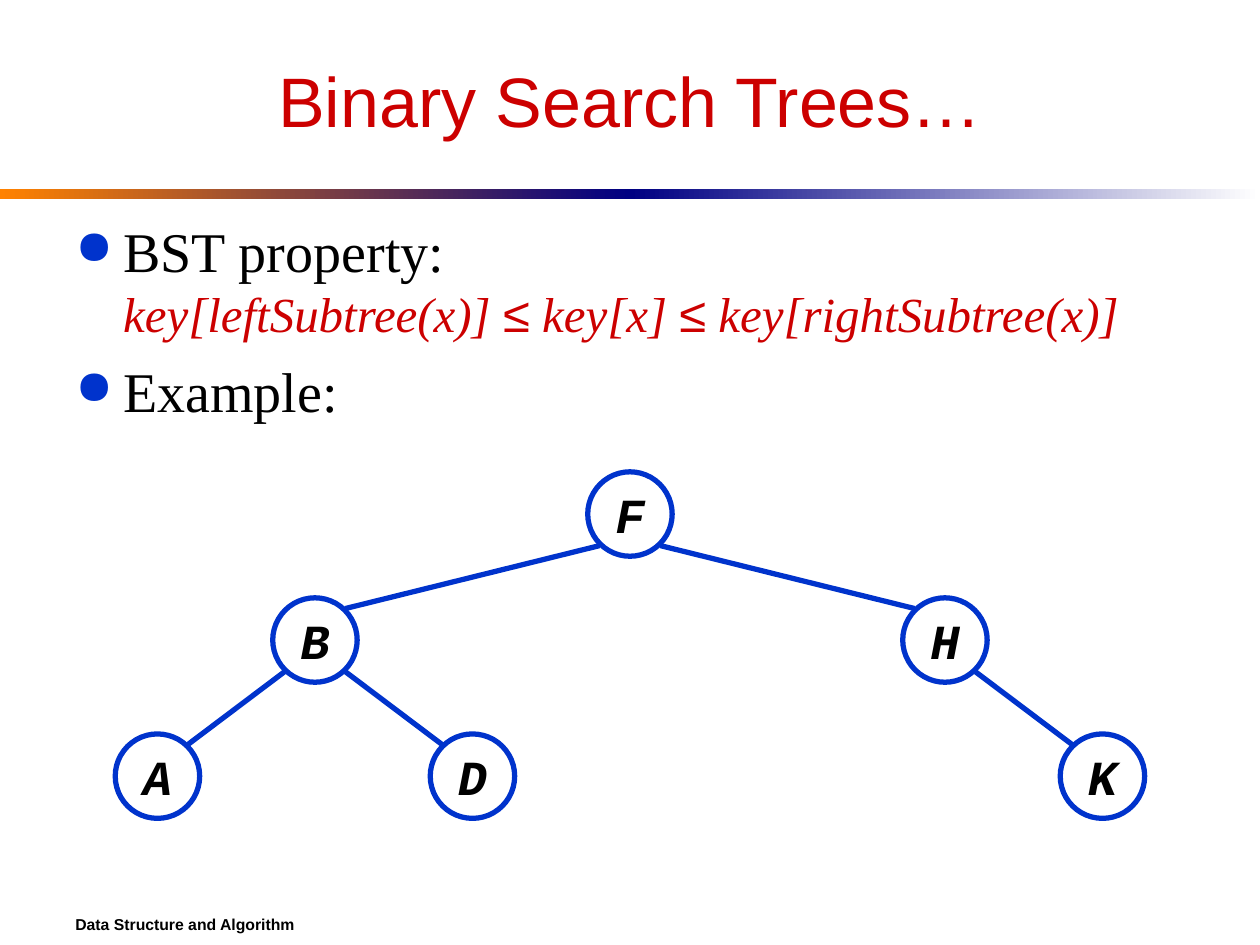
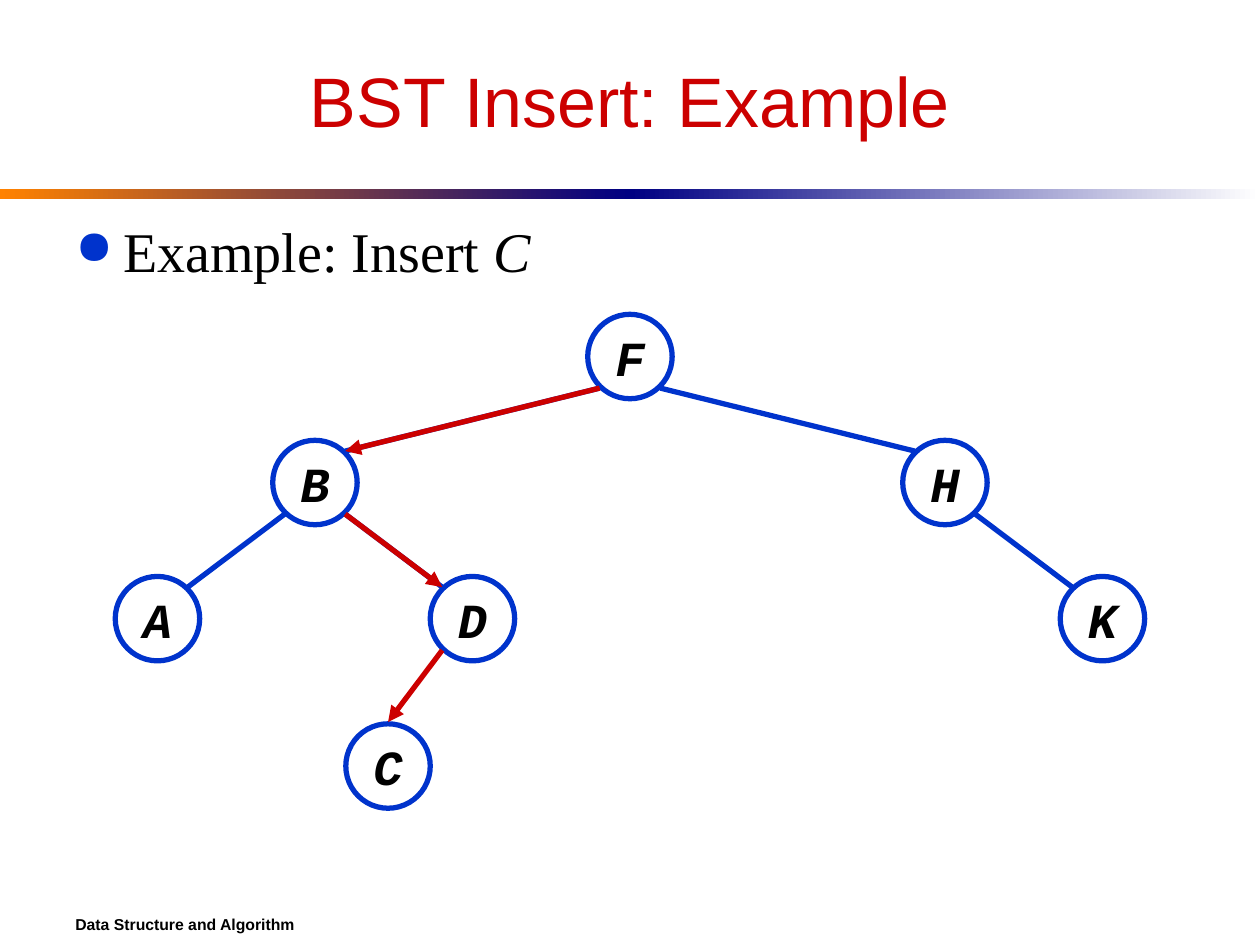
import lxml.etree
import pptx
import pptx.dml.color
import pptx.enum.shapes
import pptx.enum.text
import pptx.oxml.ns
import pptx.util

Inches = pptx.util.Inches
Pt = pptx.util.Pt
qn = pptx.oxml.ns.qn

COLOURS = {
    "black": "000000",
    "white": "FFFFFF",
    "red": "CC0000",
    "blue": "0033CC",
    "orange": "FF8200",
    "navy": "000082",
}
SANS, SERIF, MONO = "Arial", "Times New Roman", "Courier New"
NODE_SIZE = 0.67
EDGE_DX, EDGE_DY = 0.24, 0.25
NODES = {
    "F": (5, 0),
    "B": (2.5, 1),
    "H": (7.5, 1),
    "K": (8.75, 2.08),
    "D": (3.75, 2.08),
    "A": (1.25, 2.08),
}
EDGES = ["BA", "BD", "FB", "FH", "HK"]


def rgb(colour):
    return pptx.dml.color.RGBColor.from_string(COLOURS[colour])


def set_font(font, name, size, colour, bold=None, italic=None):
    font.name = name
    font.size = Pt(size)
    font.color.rgb = rgb(colour)
    font.bold = bold
    font.italic = italic


def add_text_box(slide, left, top, width, height, anchor="MIDDLE"):
    box = slide.shapes.add_textbox(Inches(left), Inches(top), Inches(width), Inches(height))
    frame = box.text_frame
    frame.word_wrap = True
    frame.vertical_anchor = pptx.enum.text.MSO_ANCHOR[anchor]
    return frame


def add_band(slide, left, start, end):
    band = slide.shapes.add_shape(
        pptx.enum.shapes.MSO_SHAPE.RECTANGLE, Inches(left), Inches(1.5), Inches(5), Inches(0.08)
    )
    band.shadow.inherit = False
    band.line.fill.background()
    band.fill.gradient()
    band.fill.gradient_angle = 0
    for stop, colour in zip(band.fill.gradient_stops, (start, end)):
        stop.color.rgb = rgb(colour)


def add_base_slide(presentation, title):
    slide = presentation.slides.add_slide(presentation.slide_layouts[6])
    add_band(slide, 0, "orange", "navy")
    add_band(slide, 5, "navy", "white")
    footer = add_text_box(slide, 0.5, 7.17, 9, 0.33).paragraphs[0]
    footer.text = "Data Structure and Algorithm"
    set_font(footer.font, SANS, 9, "black", bold=True)
    heading = add_text_box(slide, 0.5, 0.25, 9, 1.08).paragraphs[0]
    heading.text = title
    heading.alignment = pptx.enum.text.PP_ALIGN.CENTER
    set_font(heading.font, SANS, 40, "red")
    return slide


def add_run(paragraph, text):
    run = paragraph.add_run()
    run.text = text
    return run


def format_bullet(paragraph, space_before=8):
    paragraph.space_before = Pt(space_before)
    properties = paragraph._p.get_or_add_pPr()
    properties.set("marL", str(Inches(0.38)))
    properties.set("indent", str(Inches(-0.38)))
    colour = lxml.etree.SubElement(properties, qn("a:buClr"))
    lxml.etree.SubElement(colour, qn("a:srgbClr"), val=COLOURS["blue"])
    lxml.etree.SubElement(properties, qn("a:buSzPct"), val="85000")
    lxml.etree.SubElement(properties, qn("a:buChar"), char="●")


def add_node(shapes, letter, centre_x, centre_y):
    node = shapes.add_shape(
        pptx.enum.shapes.MSO_SHAPE.OVAL,
        Inches(centre_x - NODE_SIZE / 2),
        Inches(centre_y - NODE_SIZE / 2),
        Inches(NODE_SIZE),
        Inches(NODE_SIZE),
    )
    node.shadow.inherit = False
    node.fill.solid()
    node.fill.fore_color.rgb = rgb("white")
    node.line.color.rgb = rgb("blue")
    node.line.width = Pt(3)
    frame = node.text_frame
    frame.word_wrap = False
    frame.vertical_anchor = pptx.enum.text.MSO_ANCHOR.MIDDLE
    paragraph = frame.paragraphs[0]
    paragraph.text = letter
    paragraph.alignment = pptx.enum.text.PP_ALIGN.CENTER
    set_font(paragraph.font, MONO, 28, "black", bold=True, italic=True)


def add_line(shapes, start, end, colour="blue", arrow=False):
    line = shapes.add_connector(
        pptx.enum.shapes.MSO_CONNECTOR.STRAIGHT, *(Inches(value) for value in (*start, *end))
    )
    line.line.color.rgb = rgb(colour)
    line.line.width = Pt(3)
    if arrow:
        lxml.etree.SubElement(line.line._get_or_add_ln(), qn("a:tailEnd"), type="triangle")
    lxml.etree.SubElement(line._element.spPr, qn("a:effectLst"))


def node_centre(letter, root_y):
    x, depth = NODES[letter]
    return x, root_y + depth


def edge_ends(edge, root_y):
    (parent_x, parent_y), (child_x, child_y) = (node_centre(letter, root_y) for letter in edge)
    shift = EDGE_DX if child_x > parent_x else -EDGE_DX
    return (parent_x + shift, parent_y + EDGE_DY), (child_x - shift, child_y - EDGE_DY)


def add_tree(slide, root_y):
    tree = slide.shapes.add_group_shape()
    for letter in NODES:
        add_node(tree.shapes, letter, *node_centre(letter, root_y))
    for edge in EDGES:
        add_line(tree.shapes, *edge_ends(edge, root_y))


def build_property_slide(presentation):
    slide = add_base_slide(presentation, "Binary Search Trees…")
    frame = add_text_box(slide, 0.5, 1.67, 9, 4.75, "TOP")
    rule = frame.paragraphs[0]
    format_bullet(rule, 7)
    set_font(add_run(rule, "BST property: ").font, SERIF, 32, "black")
    rule.add_line_break()
    for text in ("key[leftSubtree(x)] ", "≤", " key[x] ", "≤", " key[rightSubtree(x)]"):
        name = SANS if text == "≤" else SERIF
        set_font(add_run(rule, text).font, name, 28, "red", italic=True)
    example = frame.add_paragraph()
    example.text = "Example:"
    format_bullet(example)
    set_font(example.font, SERIF, 32, "black")
    add_tree(slide, 4.08)


def build_insert_slide(presentation):
    slide = add_base_slide(presentation, "BST Insert: Example")
    example = add_text_box(slide, 0.5, 1.67, 9, 4.75, "TOP").paragraphs[0]
    format_bullet(example)
    set_font(example.font, SERIF, 32, "black")
    add_run(example, "Example: Insert ")
    add_run(example, "C").font.italic = True
    root_y = 2.83
    add_tree(slide, root_y)
    for edge in ("FB", "BD"):
        add_line(slide.shapes, *edge_ends(edge, root_y), "red", arrow=True)
    inserted_x, inserted_y = 3.08, 6.08
    add_node(slide.shapes, "C", inserted_x, inserted_y)
    parent_x, parent_y = node_centre("D", root_y)
    add_line(
        slide.shapes,
        (parent_x - EDGE_DX, parent_y + EDGE_DY),
        (inserted_x, inserted_y - 0.35),
        "red",
        arrow=True,
    )


def main():
    presentation = pptx.Presentation()
    presentation.slide_width = Inches(10)
    presentation.slide_height = Inches(7.5)
    build_property_slide(presentation)
    build_insert_slide(presentation)
    presentation.save("out.pptx")


if __name__ == "__main__":
    main()
